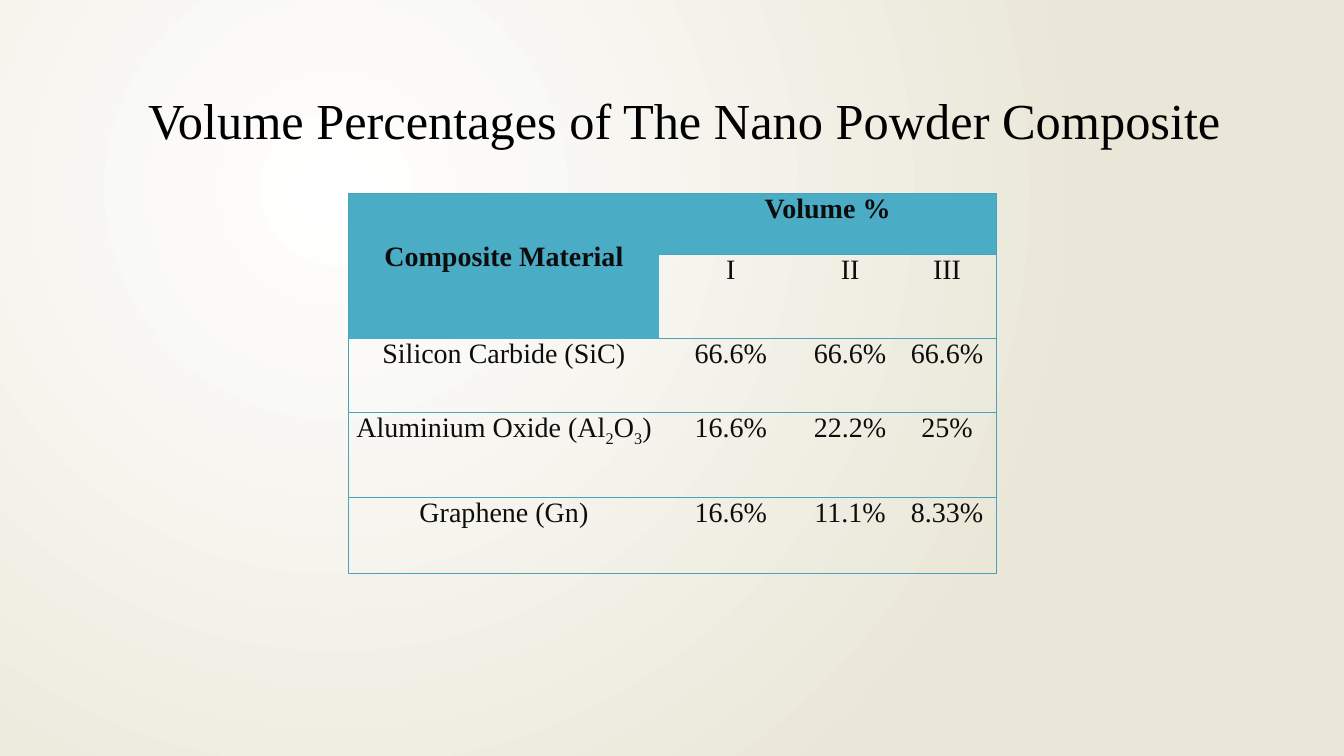
from dataclasses import dataclass

from lxml import etree
from pptx import Presentation
from pptx import util as u
from pptx.dml import color
from pptx.enum import text
from pptx.oxml import ns


@dataclass(frozen=True)
class Theme:
    font: str = "Times New Roman"
    title_size: float = 36
    table_size: float = 20
    title_ink: str = "000000"
    table_ink: str = "0D0D0D"
    header_fill: str = "4BACC6"
    border: str = "48A4BD"
    border_width: float = 0.75
    centre: str = "FFFFFF"
    edge: str = "EAE7D8"
    table_style: str = "{2D5ABB26-0587-4C30-8999-92F81FD0307C}"


class Composer:
    def __init__(self, page, theme):
        self.page = page
        self.theme = theme

    def background(self):
        fill = self.page.background.fill
        fill.gradient()
        for stop, shade in zip(fill.gradient_stops, (self.theme.centre, self.theme.edge)):
            stop.color.rgb = color.RGBColor.from_string(shade)
        gradient = self.page.element.find(".//" + ns.qn("a:gradFill"))
        gradient.remove(gradient.find(ns.qn("a:lin")))
        circle = etree.SubElement(gradient, ns.qn("a:path"))
        circle.set("path", "circle")
        etree.SubElement(circle, ns.qn("a:fillToRect"),
                         l="50000", t="50000", r="100000", b="100000")

    def add_spans(self, frame, spans, size, ink, bold=False):
        para = frame.paragraphs[0]
        para.alignment = text.PP_ALIGN.CENTER
        for words, baseline in spans:
            span = para.add_run()
            span.text = words
            span.font.name = self.theme.font
            span.font.size = u.Pt(size)
            span.font.bold = bold
            span.font.color.rgb = color.RGBColor.from_string(ink)
            if baseline:
                span.font._element.set("baseline", str(baseline))

    def title(self, words, left, top, width, height):
        box = self.page.shapes.add_textbox(*map(u.Pt, (left, top, width, height)))
        box.text_frame.word_wrap = True
        self.add_spans(box.text_frame, [(words, 0)], self.theme.title_size, self.theme.title_ink)

    def table(self, rows, left, top, widths, heights):
        frame = self.page.shapes.add_table(
            len(heights), len(widths),
            *map(u.Pt, (left, top, sum(widths), sum(heights))))
        table = frame.table
        table.first_row = table.horz_banding = False
        frame.element.find(".//" + ns.qn("a:tableStyleId")).text = self.theme.table_style
        for column, width in zip(table.columns, widths):
            column.width = u.Pt(width)
        for row, height in zip(table.rows, heights):
            row.height = u.Pt(height)
        for row_index, row in enumerate(rows):
            for column_index, spans in enumerate(row):
                self.cell(table, row_index, column_index, spans)
        return table

    def cell(self, table, row, column, spans):
        cell = table.cell(row, column)
        cell.margin_left = cell.margin_right = u.Pt(5)
        cell.margin_top = cell.margin_bottom = 0
        sides = {
            "L": column == 0,
            "R": column == len(table.columns) - 1 or (row, column) == (0, 1),
            "T": column > 0 or row not in (1, 2),
            "B": column > 0 or row > 1,
        }
        for side, drawn in sides.items():
            self.border(cell, side, drawn)
        header = row == 0 or (row, column) == (1, 0)
        if header:
            cell.fill.solid()
            cell.fill.fore_color.rgb = color.RGBColor.from_string(self.theme.header_fill)
        else:
            cell.fill.background()
        self.add_spans(cell.text_frame, spans, self.theme.table_size,
                       self.theme.table_ink, header)

    def border(self, cell, side, drawn):
        line = etree.SubElement(cell._tc.get_or_add_tcPr(), ns.qn("a:ln" + side),
                                w=str(u.Pt(self.theme.border_width)))
        if drawn:
            fill = etree.SubElement(line, ns.qn("a:solidFill"))
            etree.SubElement(fill, ns.qn("a:srgbClr"), val=self.theme.border)
        else:
            etree.SubElement(line, ns.qn("a:noFill"))


def plain(*labels):
    return [[(label, 0)] if label else [] for label in labels]


def main():
    deck = Presentation()
    deck.slide_width, deck.slide_height = u.Pt(960), u.Pt(540)
    composer = Composer(deck.slides.add_slide(deck.slide_layouts[6]), Theme())
    composer.background()

    oxide = [("Aluminium Oxide (Al", 0), ("2", -25000), ("O", 0), ("3", -25000), (")", 0)]
    rows = [
        plain("Composite Material", "Volume %", "", ""),
        plain("", "I", "II", "III"),
        plain("Silicon Carbide (SiC)", "66.6%", "66.6%", "66.6%"),
        [oxide] + plain("16.6%", "22.2%", "25%"),
        plain("Graphene (Gn)", "16.6%", "11.1%", "8.33%"),
    ]
    table = composer.table(rows, 249, 138, (222, 102, 68.5, 70), (44, 60, 52.5, 61, 54.5))
    material = table.cell(0, 0)
    material.merge(table.cell(1, 0))
    material.vertical_anchor = text.MSO_ANCHOR.MIDDLE
    material.margin_bottom = u.Pt(13)
    table.cell(0, 1).merge(table.cell(0, 3))

    composer.title("Volume Percentages of The Nano Powder Composite", 66, 60, 846, 51)
    deck.save("out.pptx")


if __name__ == "__main__":
    main()
